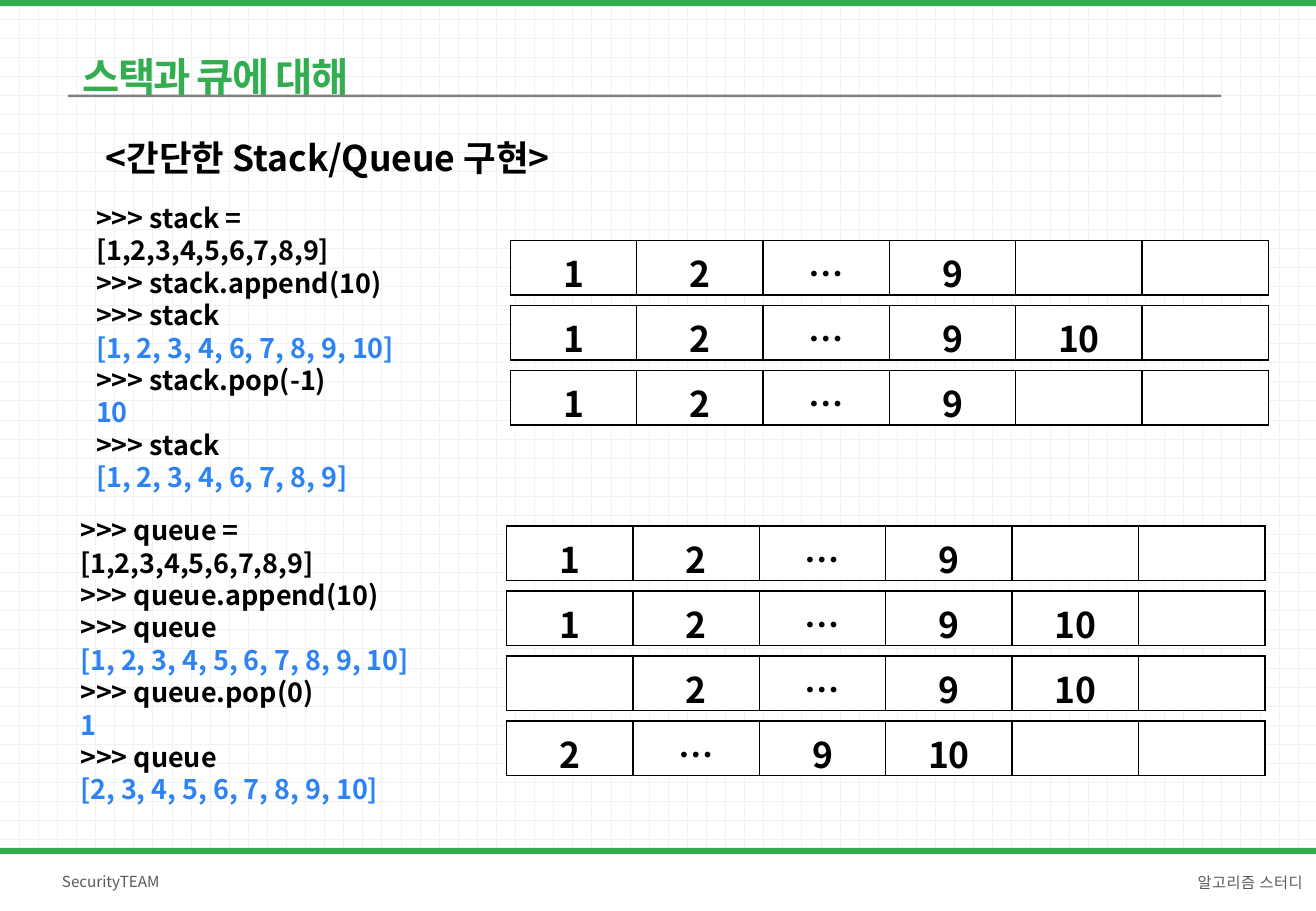
from dataclasses import dataclass

from lxml.etree import SubElement
from pptx import Presentation
from pptx.dml.color import RGBColor
from pptx.enum.dml import MSO_PATTERN
from pptx.enum.shapes import MSO_SHAPE
from pptx.enum.text import MSO_ANCHOR, MSO_AUTO_SIZE, PP_ALIGN
from pptx.oxml.ns import qn
from pptx.util import Inches, Pt

FONT = "Noto Sans CJK KR"
GREEN, GRAY, WHITE, BLACK = "32AE51", "808080", "FFFFFF", "000000"
FOOTER_GRAY, RESULT_BLUE = "595959", "2D83F4"
PROMPT = ">>>"
COLUMNS, CELL_WIDTH, CELL_HEIGHT, ROW_PITCH = 6, 1.04, 0.45, 0.535


@dataclass
class Bar:
    left: float
    top: float
    width: float
    height: float
    color: str
    kind: MSO_SHAPE = MSO_SHAPE.RECTANGLE


@dataclass
class Example:
    """A code session and the list states drawn beside it."""
    code_area: tuple[float, float, float, float]
    code: list[str]
    states_left: float
    states_top: float
    states: list[list[str]]


BARS = [
    Bar(0, 0, 10.83, 0.05, GREEN),
    Bar(0.56, 0.78, 9.49, 0.02, GRAY, MSO_SHAPE.ROUNDED_RECTANGLE),
    Bar(0, 6.98, 10.83, 0.52, WHITE),
    Bar(0, 6.98, 10.83, 0.05, GREEN),
]

START = ["1", "2", "…", "9"]
EXAMPLES = [
    Example(
        (0.69, 1.61, 3.33, 2.52),
        [">>> stack = [1,2,3,4,5,6,7,8,9]", ">>> stack.append(10)",
         ">>> stack", "[1, 2, 3, 4, 6, 7, 8, 9, 10]",
         ">>> stack.pop(-1)", "10",
         ">>> stack", "[1, 2, 3, 4, 6, 7, 8, 9]"],
        4.2, 1.98,
        [START, START + ["10"], START]),
    Example(
        (0.56, 4.18, 3.46, 2.26),
        [">>> queue = [1,2,3,4,5,6,7,8,9]", ">>> queue.append(10)",
         ">>> queue", "[1, 2, 3, 4, 5, 6, 7, 8, 9, 10]",
         ">>> queue.pop(0)", "1",
         ">>> queue", "[2, 3, 4, 5, 6, 7, 8, 9, 10]"],
        4.17, 4.33,
        [START, START + ["10"], ["", "2", "…", "9", "10"],
         ["2", "…", "9", "10"]]),
]


def rgb(color: str) -> RGBColor:
    return RGBColor.from_string(color)


def write(para, text: str, *, size: float, color: str = BLACK,
          bold: bool = False, align=PP_ALIGN.LEFT, line_spacing: float = 1.0,
          space_before: float = 0, letter_spacing: float = 0) -> None:
    para.alignment = align
    para.line_spacing = line_spacing
    para.space_before = Pt(space_before)
    span = para.add_run()
    span.text = text
    span.font.name = FONT
    span.font.size = Pt(size)
    span.font.bold = bold
    span.font.color.rgb = rgb(color)
    properties = span.font._element
    SubElement(properties, qn("a:ea")).set("typeface", FONT)
    if letter_spacing:
        properties.set("spc", str(round(letter_spacing * 100)))


def set_frame(box, *, anchor=MSO_ANCHOR.TOP, margins=(0.1, 0.05),
              auto_size=MSO_AUTO_SIZE.SHAPE_TO_FIT_TEXT) -> None:
    frame = box.text_frame
    frame.word_wrap = True
    frame.auto_size = auto_size
    frame.vertical_anchor = anchor
    frame.margin_left = frame.margin_right = Inches(margins[0])
    frame.margin_top = frame.margin_bottom = Inches(margins[1])


def move(box, area: tuple[float, float, float, float]) -> None:
    box.left, box.top, box.width, box.height = map(Inches, area)


def add_bar(page, bar: Bar) -> None:
    shape = page.shapes.add_shape(
        bar.kind, *map(Inches, (bar.left, bar.top, bar.width, bar.height)))
    shape.shadow.inherit = False
    shape.fill.solid()
    shape.fill.fore_color.rgb = rgb(bar.color)
    shape.line.fill.background()


def add_footer(page, area: tuple[float, float, float, float], text: str,
               **text_format) -> None:
    box = page.shapes.add_textbox(*map(Inches, area))
    set_frame(box, anchor=MSO_ANCHOR.MIDDLE, margins=(0.12, 0.06),
              auto_size=MSO_AUTO_SIZE.NONE)
    write(box.text_frame.paragraphs[0], text, size=9, color=FOOTER_GRAY,
          **text_format)


def fill_code(body, example: Example) -> None:
    move(body, example.code_area)
    set_frame(body)
    frame = body.text_frame
    for index, line in enumerate(example.code):
        para = frame.add_paragraph() if index else frame.paragraphs[0]
        color = BLACK if line.startswith(PROMPT) else RESULT_BLUE
        write(para, line, size=16, color=color, bold=True)
        properties = para._p.get_or_add_pPr()
        properties.set("marL", "0")
        properties.set("indent", "0")
        SubElement(properties, qn("a:buNone"))


def add_borders(cell) -> None:
    properties = cell._tc.get_or_add_tcPr()
    for side in ("lnL", "lnR", "lnT", "lnB"):
        line = SubElement(properties, qn(f"a:{side}"), w=str(Pt(1)))
        fill = SubElement(line, qn("a:solidFill"))
        SubElement(fill, qn("a:srgbClr"), val=BLACK)


def add_state(page, left: float, top: float, values: list[str]) -> None:
    """Draw one list state as a single-row table, padded with empty cells."""
    frame = page.shapes.add_table(
        1, COLUMNS, Inches(left), Inches(top),
        Inches(COLUMNS * CELL_WIDTH), Inches(CELL_HEIGHT))
    table = frame.table
    table.first_row = table.horz_banding = False
    for column in table.columns:
        column.width = Inches(CELL_WIDTH)
    for index, cell in enumerate(table.iter_cells()):
        add_borders(cell)
        cell.fill.solid()
        cell.fill.fore_color.rgb = rgb(WHITE)
        if index < len(values) and values[index]:
            write(cell.text_frame.paragraphs[0], values[index], size=21,
                  bold=True, align=PP_ALIGN.CENTER)


def main() -> None:
    deck = Presentation()
    deck.slide_width, deck.slide_height = Inches(10.83), Inches(7.5)
    page = deck.slides.add_slide(deck.slide_layouts.get_by_name("Two Content"))

    background = page.background.fill
    background.patterned()
    background.pattern = MSO_PATTERN.DOTTED_GRID
    background.fore_color.rgb = rgb("F2F2F2")
    background.back_color.rgb = rgb(WHITE)

    title, *bodies = page.placeholders
    move(title, (0.56, -0.03, 2.73, 0.8))
    set_frame(title, margins=(0.12, 0.06))
    write(title.text_frame.paragraphs[0], "스택과 큐에 대해", size=24,
          color=GREEN, bold=True, line_spacing=2.0, space_before=6,
          letter_spacing=-1)

    for bar in BARS:
        add_bar(page, bar)
    add_footer(page, (0.39, 7.02, 1.97, 0.47), "SecurityTEAM", space_before=5)
    add_footer(page, (8.38, 7.06, 2.46, 0.37), "알고리즘 스터디",
               align=PP_ALIGN.RIGHT, line_spacing=1.3, letter_spacing=0.3)

    heading = page.shapes.add_textbox(*map(Inches, (0.77, 1.07, 6.22, 0.45)))
    set_frame(heading)
    write(heading.text_frame.paragraphs[0], "<간단한 Stack/Queue 구현>",
          size=21, bold=True)

    for body, example in zip(bodies, EXAMPLES):
        fill_code(body, example)
        for index, values in enumerate(example.states):
            add_state(page, example.states_left,
                      example.states_top + index * ROW_PITCH, values)

    deck.save("out.pptx")


if __name__ == "__main__":
    main()
